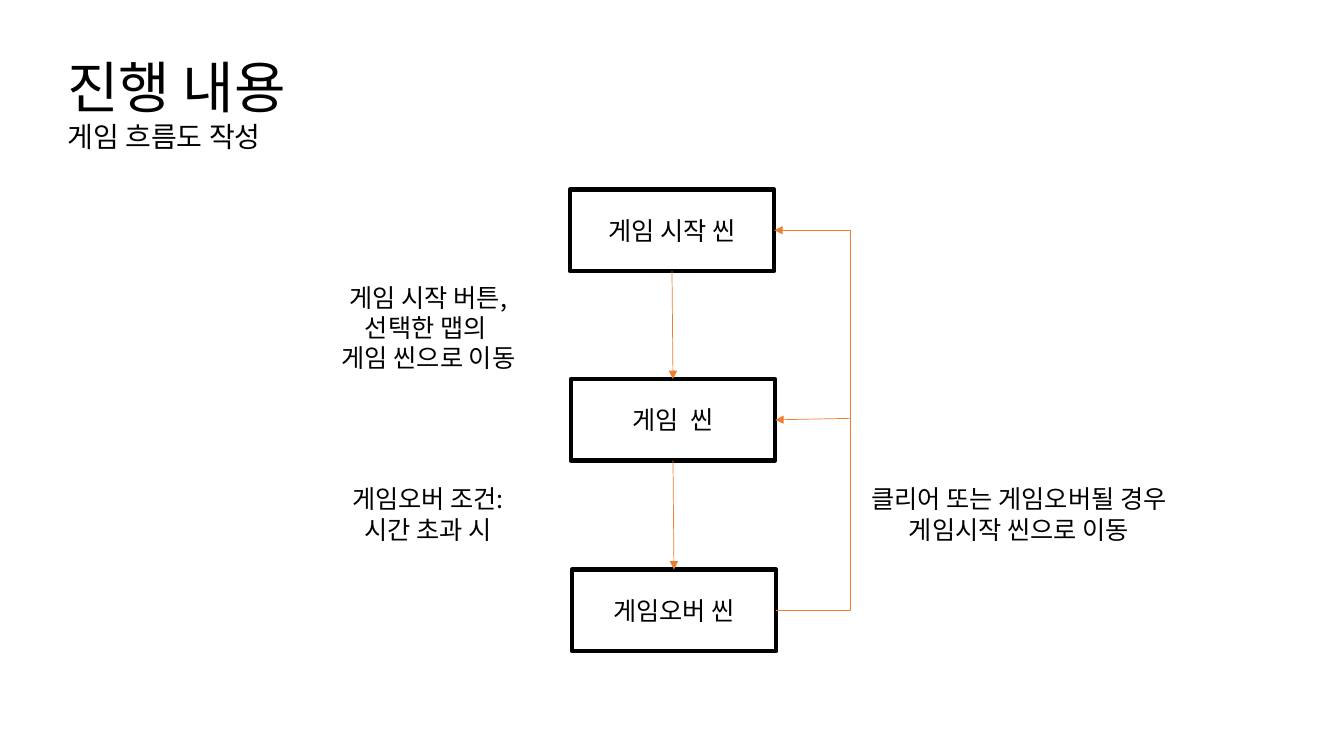
from pptx import Presentation
from pptx import util as u
from pptx.dml.color import RGBColor
from pptx.enum import shapes, text
from pptx.oxml import ns
from lxml import etree

COLORS = {"ink": "000000", "paper": "FFFFFF", "arrow": "ED7D31"}
FONT = "Noto Sans CJK KR"
BOX_W, BOX_H = 2.03, 0.81
TOP, LEFT, BOTTOM, RIGHT = range(4)


def rgb(name):
    return RGBColor.from_string(COLORS[name])


def write(tf, lines, align, anchor):
    tf.word_wrap = True
    tf.auto_size = text.MSO_AUTO_SIZE.NONE
    tf.vertical_anchor = anchor
    for i, (line, size) in enumerate(lines):
        p = tf.paragraphs[0] if i == 0 else tf.add_paragraph()
        p.alignment = align
        p.line_spacing = 1.0
        p.space_before = u.Pt(0)
        r = p.add_run()
        r.text = line
        r.font.size = u.Pt(size)
        r.font.name = FONT
        r.font.color.rgb = rgb("ink")
        ea = etree.SubElement(r.font._element, ns.qn("a:ea"))
        ea.set("typeface", FONT)


def add_heading(s, x, y, w, h):
    sp = s.shapes.title
    sp.left, sp.top, sp.width, sp.height = map(u.Inches, (x, y, w, h))
    write(sp.text_frame, [("진행 내용", 40), ("게임 흐름도 작성", 20)],
          text.PP_ALIGN.LEFT, text.MSO_ANCHOR.TOP)


def add_scene(s, name, x, y):
    sp = s.shapes.add_shape(shapes.MSO_SHAPE.RECTANGLE,
                            *map(u.Inches, (x, y, BOX_W, BOX_H)))
    sp.shadow.inherit = False
    sp.fill.solid()
    sp.fill.fore_color.rgb = rgb("paper")
    sp.line.color.rgb = rgb("ink")
    sp.line.width = u.Pt(3)
    write(sp.text_frame, [(name, 18)], text.PP_ALIGN.CENTER, text.MSO_ANCHOR.MIDDLE)
    return sp


def add_note(s, lines, x, y, w, h):
    sp = s.shapes.add_textbox(*map(u.Inches, (x, y, w, h)))
    write(sp.text_frame, [(line, 18) for line in lines],
          text.PP_ALIGN.CENTER, text.MSO_ANCHOR.TOP)


def add_arrow(s, kind, target, target_side, source=None, source_side=None, start=(0, 0)):
    c = s.shapes.add_connector(kind, *start, 0, 0)
    if source is not None:
        c.begin_connect(source, source_side)
    c.end_connect(target, target_side)
    c.line.color.rgb = rgb("arrow")
    c.line.width = u.Pt(0.5)
    etree.SubElement(c.line._get_or_add_ln(), ns.qn("a:tailEnd")).set("type", "triangle")
    etree.SubElement(c._element.spPr, ns.qn("a:effectLst"))
    return c


def bend_at(c, x):
    share = (c.begin_x - x) / (c.begin_x - c.end_x)
    geom = c._element.spPr.find(ns.qn("a:prstGeom"))
    guides = geom.find(ns.qn("a:avLst"))
    if guides is None:
        guides = etree.SubElement(geom, ns.qn("a:avLst"))
    gd = etree.SubElement(guides, ns.qn("a:gd"))
    gd.set("name", "adj1")
    gd.set("fmla", f"val {round(share * 100000)}")


def add_flow(s, x, y):
    start = add_scene(s, "게임 시작 씬", x, y)
    game = add_scene(s, "게임  씬", x + 0.01, y + 1.88)
    over = add_scene(s, "게임오버 씬", x + 0.02, y + 3.77)
    straight = shapes.MSO_CONNECTOR.STRAIGHT
    for source, target in ((start, game), (game, over)):
        add_arrow(s, straight, target, TOP, source, BOTTOM)
    back = add_arrow(s, shapes.MSO_CONNECTOR.ELBOW, start, RIGHT, over, RIGHT)
    bend_at(back, u.Inches(x + 2.78))
    add_arrow(s, straight, game, RIGHT,
              start=(u.Inches(x + 2.79), u.Inches(y + 2.27)))

    add_note(s, ["게임 시작 버튼,", "선택한 맵의 ", "게임 씬으로 이동"],
             x - 2.8, y + 0.87, 2.8, 1.01)
    add_note(s, ["게임오버 조건:", "시간 초과 시"], x - 2.42, y + 2.87, 2.03, 0.71)
    add_note(s, ["클리어 또는 게임오버될 경우", "게임시작 씬으로 이동"],
             x + 2.54, y + 2.87, 3.83, 0.71)


def main():
    prs = Presentation()
    prs.slide_width, prs.slide_height = u.Inches(13.33), u.Inches(7.5)
    s = prs.slides.add_slide(prs.slide_layouts[5])
    add_heading(s, 0.57, 0.47, 3.47, 1.11)
    add_flow(s, 5.65, 1.88)
    prs.save("out.pptx")


if __name__ == "__main__":
    main()
